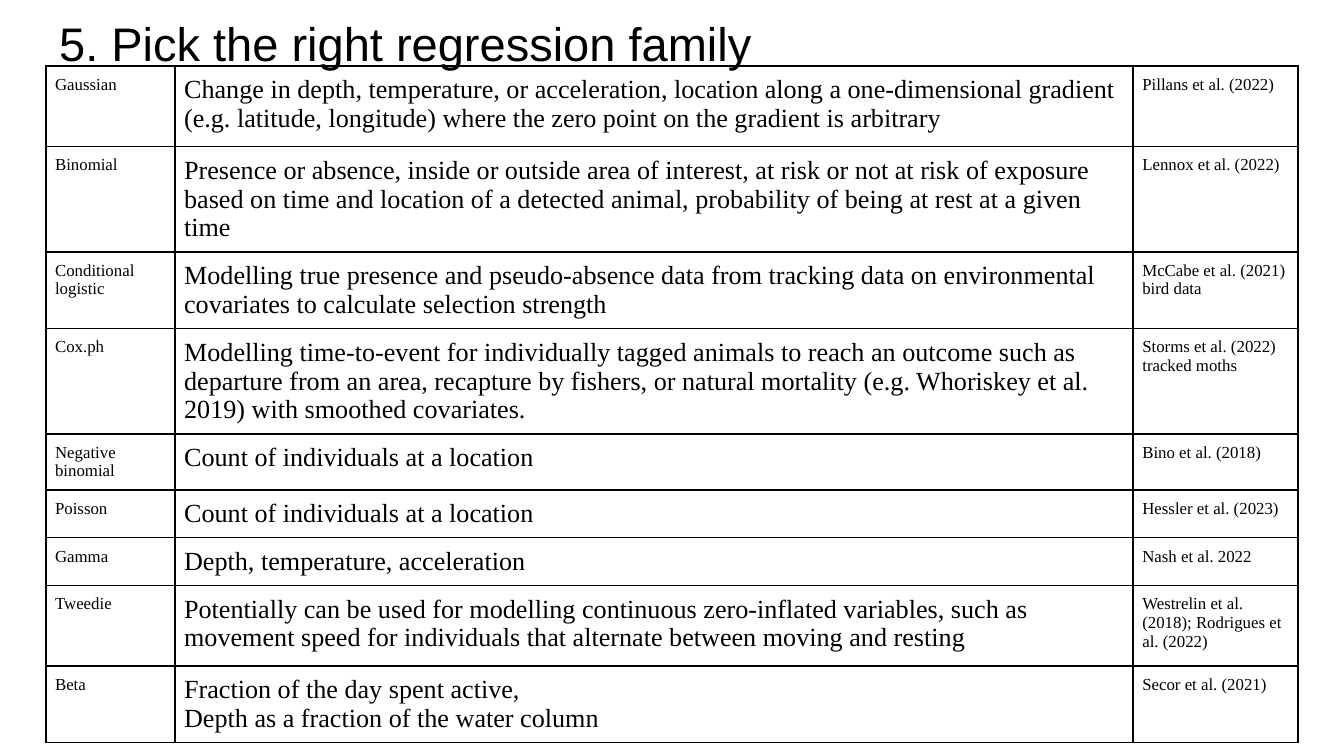
from pptx import Presentation
from pptx.dml.color import RGBColor as RGB
from pptx.enum.text import MSO_ANCHOR as Anchor, PP_ALIGN as Align
from pptx.oxml import parse_xml as to_xml
from pptx.oxml.ns import nsdecls
from pptx.util import Inches, Pt

WIDE = Inches(10)
HIGH = WIDE * 9 // 16
INK = "000000"
COLS = (0.96, 7.13, 1.23)
TALL = (0.6, 0.6, 0.44, 0.64, 0.28, 0.28, 0.28, 0.6, 0.44)
SIDE = {"name": "Times New Roman", "size": Pt(9), "bold": False}
MAIN = {**SIDE, "size": Pt(14)}
HEAD = {"name": "Arial", "size": Pt(25.2), "bold": False}
ROWS = (
    ("Gaussian",
     "Change in depth, temperature, or acceleration, location along a one-dimensional gradient "
     "(e.g. latitude, longitude) where the zero point on the gradient is arbitrary",
     "Pillans et al. (2022)"),
    ("Binomial",
     "Presence or absence, inside or outside area of interest, at risk or not at risk of exposure "
     "based on time and location of a detected animal, probability of being at rest at a given time",
     "Lennox et al. (2022)"),
    ("Conditional logistic",
     "Modelling true presence and pseudo-absence data from tracking data on environmental "
     "covariates to calculate selection strength",
     "McCabe et al. (2021) bird data"),
    ("Cox.ph",
     "Modelling time-to-event for individually tagged animals to reach an outcome such as "
     "departure from an area, recapture by fishers, or natural mortality (e.g. Whoriskey et al. "
     "2019) with smoothed covariates.",
     "Storms et al. (2022) tracked moths"),
    ("Negative binomial", "Count of individuals at a location", "Bino et al. (2018)"),
    ("Poisson", "Count of individuals at a location", "Hessler et al. (2023)"),
    ("Gamma", "Depth, temperature, acceleration", "Nash et al. 2022"),
    ("Tweedie",
     "Potentially can be used for modelling continuous zero-inflated variables, such as "
     "movement speed for individuals that alternate between moving and resting",
     "Westrelin et al. (2018); Rodrigues et al. (2022)"),
    ("Beta",
     "Fraction of the day spent active,\nDepth as a fraction of the water column",
     "Secor et al. (2021)"),
)


def assign(item, props):
    for key, val in props.items():
        setattr(item, key, val)


def paint(font, tone):
    font.color.rgb = RGB.from_string(tone)


def write(frame, text, style):
    frame.text = text
    for para in frame.paragraphs:
        para.alignment = Align.LEFT
        for run in para.runs:
            assign(run.font, style)
            paint(run.font, INK)


def rule(cell, tone, width):
    for edge in "LRTB":
        cell._tc.get_or_add_tcPr().append(to_xml(
            f'<a:ln{edge} {nsdecls("a")} w="{width}"><a:solidFill>'
            f'<a:srgbClr val="{tone}"/></a:solidFill></a:ln{edge}>'))


def add_grid(slide, left, top, width, height):
    grid = slide.shapes.add_table(len(ROWS), len(COLS), left, top, width, height).table
    assign(grid, {"first_row": False, "horz_banding": False})
    for col, share in zip(grid.columns, COLS):
        col.width = int(width * share / sum(COLS))
    pad = Inches(0.07)
    sides = ("left", "right", "top", "bottom")
    for row, share, texts in zip(grid.rows, TALL, ROWS):
        row.height = int(height * share / sum(TALL))
        for cell, text, style in zip(row.cells, texts, (SIDE, MAIN, SIDE)):
            assign(cell, {f"margin_{side}": pad for side in sides})
            cell.vertical_anchor = Anchor.TOP
            rule(cell, INK, Pt(1))
            cell.fill.background()
            write(cell.text_frame, text, style)


def add_head(slide, left, top, width, height):
    head = slide.shapes.title
    assign(head, {"left": left, "top": top, "width": width, "height": height})
    pad = Inches(0.1)
    assign(head.text_frame, {
        "margin_left": pad, "margin_right": pad, "margin_top": pad, "margin_bottom": pad,
        "word_wrap": True, "vertical_anchor": Anchor.BOTTOM})
    write(head.text_frame, "5. Pick the right regression family", HEAD)
    head._element.getparent().append(head._element)


def main():
    deck = Presentation()
    assign(deck, {"slide_width": WIDE, "slide_height": HIGH})
    slide = deck.slides.add_slide(deck.slide_layouts[5])
    left, width = int(WIDE * 0.034), int(WIDE * 0.932)
    add_grid(slide, left, Inches(0.49), width, Inches(sum(TALL)))
    add_head(slide, left, 0, width, Inches(0.63))
    deck.save("out.pptx")


if __name__ == "__main__":
    main()
